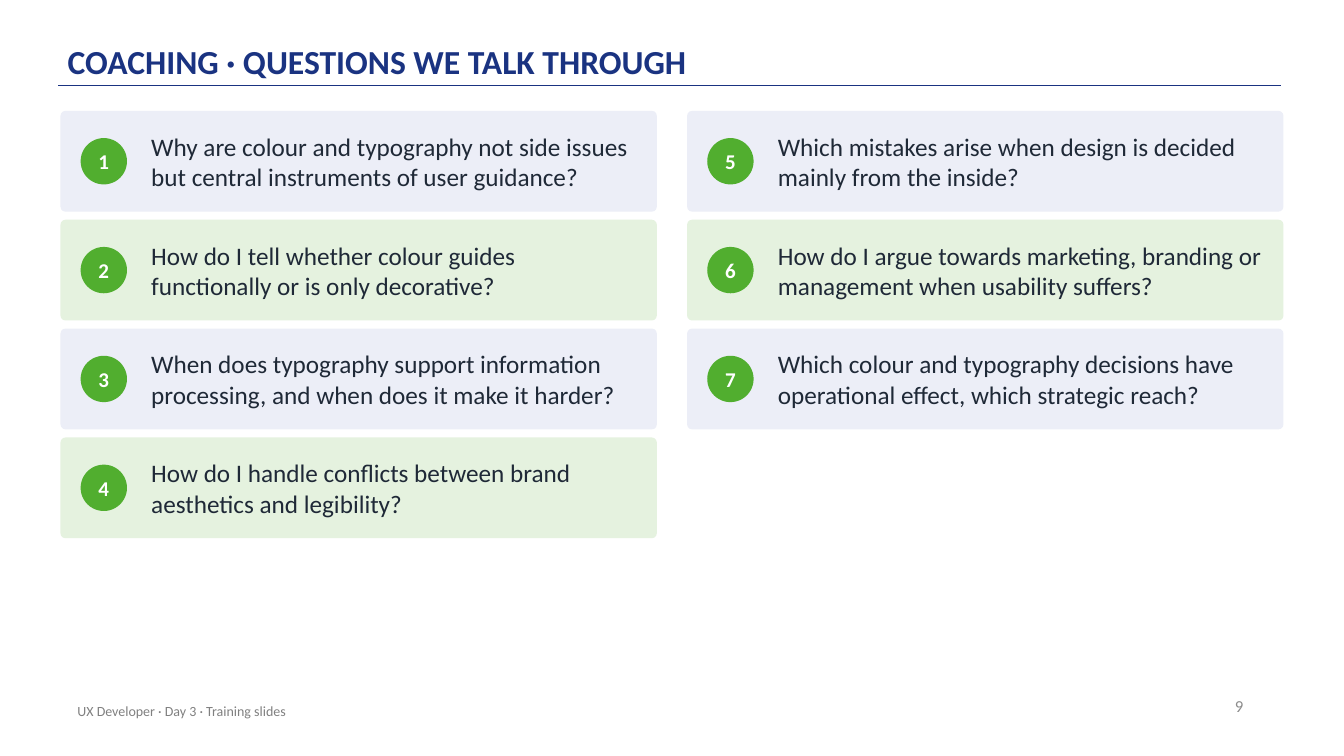
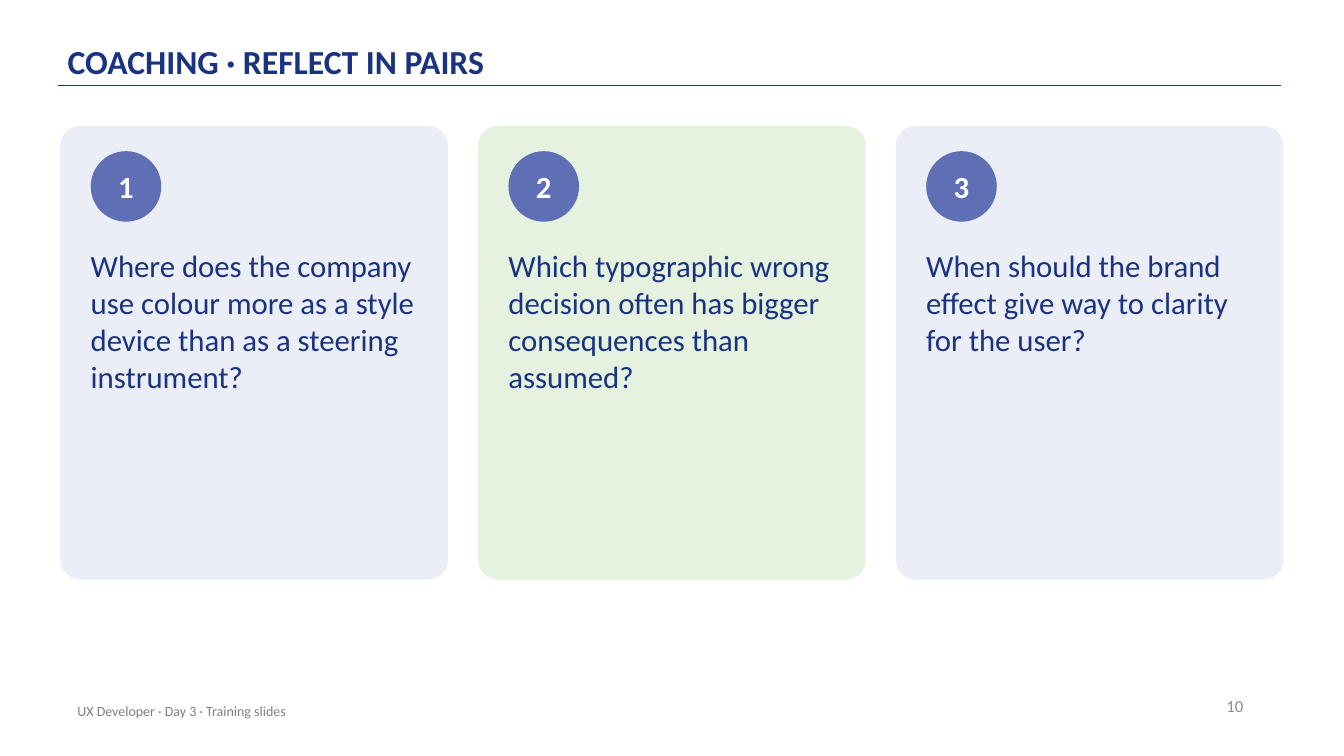
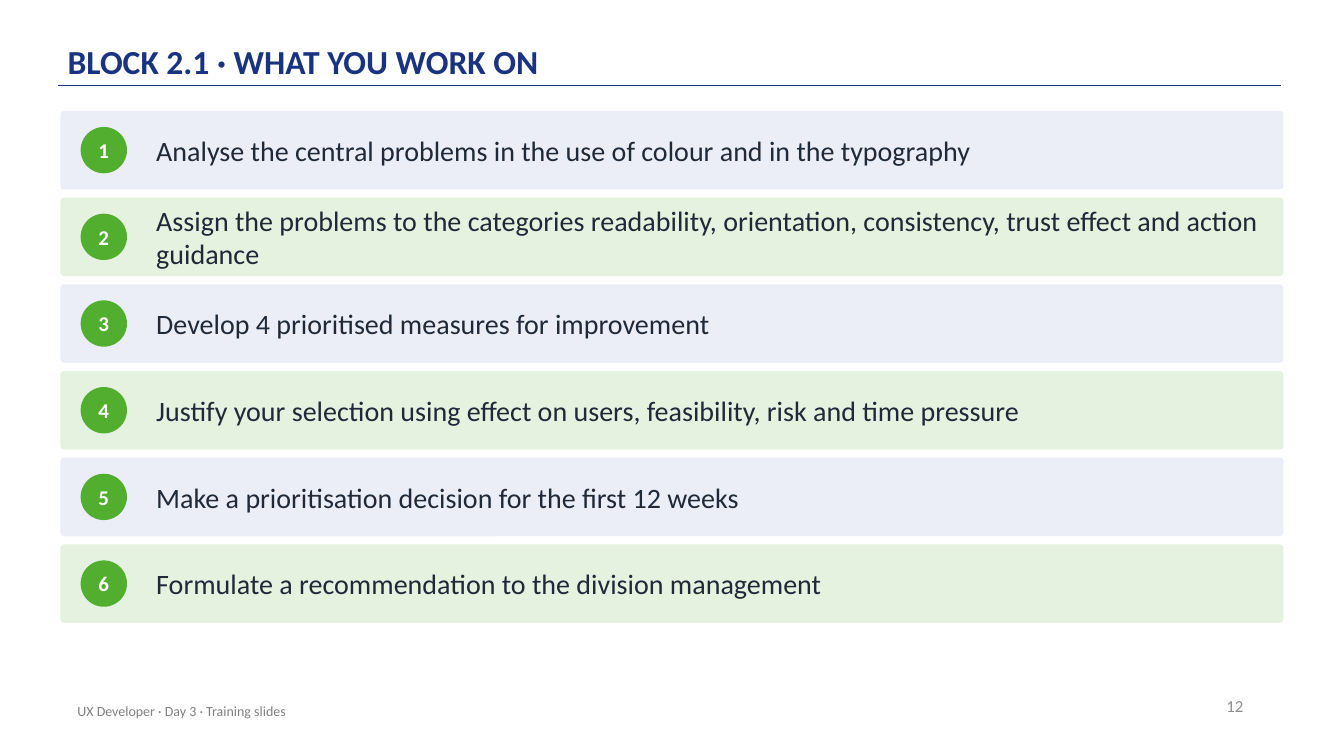
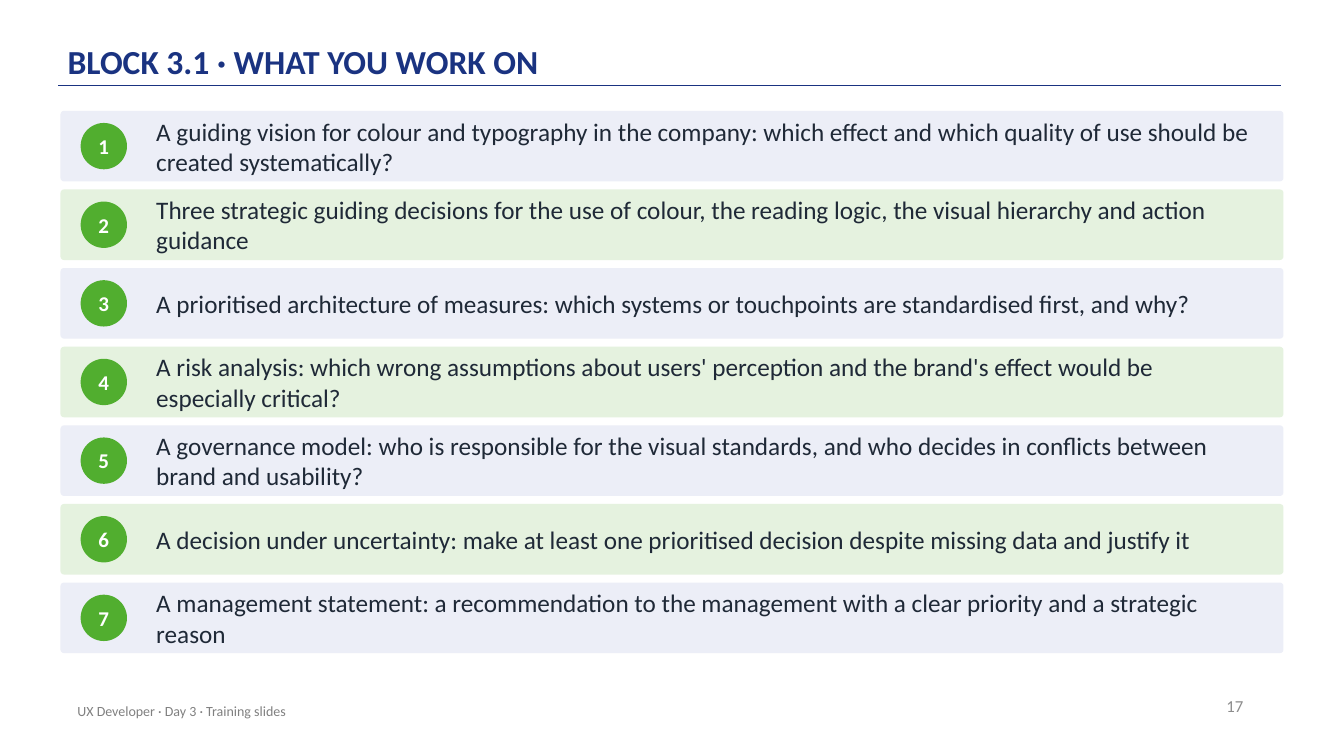
from lxml import etree
from pptx import Presentation
from pptx import util as u
from pptx.dml.color import RGBColor
from pptx.enum import shapes, text
from pptx.oxml import ns

FONT = "Calibri"
NAVY, INDIGO, GREEN = "1A3381", "5F6FB5", "51AE2F"
CARD_FILLS = ("ECEEF7", "E5F2DF")
INK, WHITE, FOOTER_GREY, NUMBER_GREY = "1F2937", "FFFFFF", "808080", "8C8C8C"
LEFT, WIDTH, COLUMN_GAP = 0.6, 12.13, 0.3
TOP, ROW_GAP = 1.1, 0.08
FOOTER = "UX Developer · Day 3 · Training slides"


def colour(value):
    return RGBColor.from_string(value)


class Deck:
    """Holds the shared style and the slide being filled."""

    def __init__(self):
        self.presentation = Presentation()
        self.presentation.slide_width = u.Inches(13.33)
        self.presentation.slide_height = u.Inches(7.5)
        self.slide = None

    # Shared frame: title, rule, page number, footer
    def new_slide(self, title, number):
        layout = self.presentation.slide_layouts.get_by_name("Title Only")
        self.slide = self.presentation.slides.add_slide(layout)
        self.rule(0.58, 12.71, 0.85)
        shape = self.slide.shapes.title
        shape.left, shape.top, shape.width, shape.height = map(u.Inches, (0.67, 0.12, 11, 0.72))
        self.set_text(shape, title, 24, NAVY, bold=True, anchor="BOTTOM", margins=(0, 0.03))
        shape.text_frame.paragraphs[0].line_spacing = 0.9
        self.label((9.43, 6.8, 3, 0.4), str(number), 12, NUMBER_GREY, align="RIGHT", margins=(0.1, 0.05))
        self.label((0.67, 6.85, 6.7, 0.4), FOOTER, 10, FOOTER_GREY, margins=(0.1, 0.05))

    def rule(self, left, right, y):
        line = self.slide.shapes.add_connector(
            shapes.MSO_CONNECTOR.STRAIGHT, *map(u.Inches, (left, y, right, y)))
        line.line.color.rgb = colour(NAVY)
        line.line.width = u.Pt(1)
        etree.SubElement(line._element.spPr, ns.qn("a:effectLst"))

    # Text
    def set_text(self, shape, words, size, ink, bold=False, align="LEFT", anchor="MIDDLE", margins=(0, 0)):
        frame = shape.text_frame
        frame.text = words
        frame.word_wrap = True
        frame.auto_size = text.MSO_AUTO_SIZE.NONE
        frame.vertical_anchor = text.MSO_ANCHOR[anchor]
        frame.margin_left = frame.margin_right = u.Inches(margins[0])
        frame.margin_top = frame.margin_bottom = u.Inches(margins[1])
        paragraph = frame.paragraphs[0]
        paragraph.alignment = text.PP_ALIGN[align]
        font = paragraph.runs[0].font
        font.name, font.size, font.bold = FONT, u.Pt(size), bold
        font.color.rgb = colour(ink)

    def label(self, box, words, size, ink, **style):
        self.set_text(self.slide.shapes.add_textbox(*map(u.Inches, box)), words, size, ink, **style)

    # Shapes
    def filled(self, kind, box, fill):
        shape = self.slide.shapes.add_shape(kind, *map(u.Inches, box))
        shape.shadow.inherit = False
        shape.fill.solid()
        shape.fill.fore_color.rgb = colour(fill)
        shape.line.fill.background()
        return shape

    def card(self, box, index):
        card = self.filled(shapes.MSO_SHAPE.ROUNDED_RECTANGLE, box, CARD_FILLS[index % 2])
        card.adjustments[0] = 0.05

    def badge(self, left, top, diameter, number, size, fill):
        circle = self.filled(shapes.MSO_SHAPE.OVAL, (left, top, diameter, diameter), fill)
        self.set_text(circle, str(number), size, WHITE, bold=True, align="CENTER")

    # Numbered content
    def column(self, index, count):
        width = (WIDTH - COLUMN_GAP * (count - 1)) / count
        return LEFT + index * (width + COLUMN_GAP), width

    def numbered_rows(self, items, height, size, columns=1, indent=0.95, right=0.25):
        rows = -(-len(items) // columns)
        for index, words in enumerate(items):
            column, row = divmod(index, rows)
            left, width = self.column(column, columns)
            top = TOP + row * (height + ROW_GAP)
            self.card((left, top, width, height), row)
            self.badge(left + 0.2, top + (height - 0.46) / 2, 0.46, index + 1, 15, GREEN)
            self.label((left + indent, top, width - indent - right, height), words, size, INK)

    def numbered_cards(self, items):
        for index, words in enumerate(items):
            left, width = self.column(index, len(items))
            self.card((left, 1.25, width, 4.5), index)
            self.badge(left + 0.3, 1.5, 0.7, index + 1, 22, INDIGO)
            self.label((left + 0.3, 2.45, width - 0.6, 3.1), words, 22, NAVY, anchor="TOP")


def main():
    deck = Deck()

    # Coaching questions
    deck.new_slide("COACHING · QUESTIONS WE TALK THROUGH", 9)
    deck.numbered_rows([
        "Why are colour and typography not side issues but central instruments of user guidance?",
        "How do I tell whether colour guides functionally or is only decorative?",
        "When does typography support information processing, and when does it make it harder?",
        "How do I handle conflicts between brand aesthetics and legibility?",
        "Which mistakes arise when design is decided mainly from the inside?",
        "How do I argue towards marketing, branding or management when usability suffers?",
        "Which colour and typography decisions have operational effect, which strategic reach?",
    ], height=1, size=18, columns=2, indent=0.9, right=0.2)

    # Reflection in pairs
    deck.new_slide("COACHING · REFLECT IN PAIRS", 10)
    deck.numbered_cards([
        "Where does the company use colour more as a style device than as a steering instrument?",
        "Which typographic wrong decision often has bigger consequences than assumed?",
        "When should the brand effect give way to clarity for the user?",
    ])

    # Block 2.1 tasks
    deck.new_slide("BLOCK 2.1 · WHAT YOU WORK ON", 12)
    deck.numbered_rows([
        "Analyse the central problems in the use of colour and in the typography",
        "Assign the problems to the categories readability, orientation, consistency, "
        "trust effect and action guidance",
        "Develop 4 prioritised measures for improvement",
        "Justify your selection using effect on users, feasibility, risk and time pressure",
        "Make a prioritisation decision for the first 12 weeks",
        "Formulate a recommendation to the division management",
    ], height=0.78, size=20)

    # Block 3.1 tasks
    deck.new_slide("BLOCK 3.1 · WHAT YOU WORK ON", 17)
    deck.numbered_rows([
        "A guiding vision for colour and typography in the company: which effect and which "
        "quality of use should be created systematically?",
        "Three strategic guiding decisions for the use of colour, the reading logic, "
        "the visual hierarchy and action guidance",
        "A prioritised architecture of measures: which systems or touchpoints are "
        "standardised first, and why?",
        "A risk analysis: which wrong assumptions about users' perception and the brand's "
        "effect would be especially critical?",
        "A governance model: who is responsible for the visual standards, and who decides "
        "in conflicts between brand and usability?",
        "A decision under uncertainty: make at least one prioritised decision despite "
        "missing data and justify it",
        "A management statement: a recommendation to the management with a clear priority "
        "and a strategic reason",
    ], height=0.7, size=18)

    deck.presentation.save("out.pptx")


if __name__ == "__main__":
    main()
